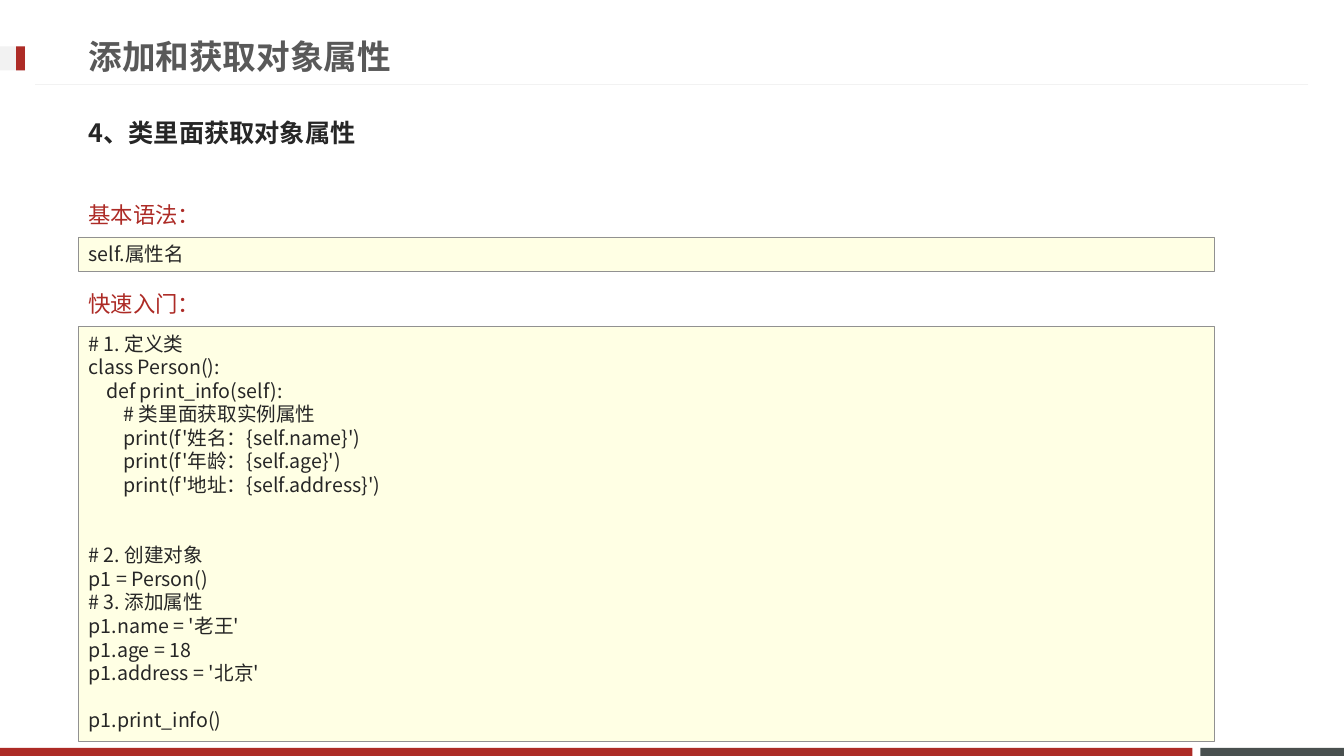
from pptx import Presentation, util as u
from pptx.dml.color import RGBColor
from pptx.enum import shapes, text
from lxml import etree

RED, GREY, INK = "AD2B26", "F2F2F2", "262626"
LEFT = 56.2
CODE_WIDTH = 811.4
CODE_LINE = 16.8
INDENT = 12.5


def color(value):
    return RGBColor.from_string(value)


class SlideKit:
    """Holds the text styles and the current slide."""
    styles = {
        "title": dict(size=u.Pt(24), name="Calibri", bold=True),
        "heading": dict(size=u.Pt(18), name="Noto Sans CJK JP", bold=True),
        "label": dict(size=u.Pt(16), name="Calibri"),
        "code": dict(size=u.Pt(14), name="Noto Sans CJK JP"),
    }
    inks = {"title": "595959", "heading": INK, "label": RED, "code": INK}

    def __init__(self, slide):
        self.shapes = slide.shapes

    def rect(self, x, y, w, h, fill, line=None):
        box = self.shapes.add_shape(shapes.MSO_SHAPE.RECTANGLE,
                                    u.Pt(x), u.Pt(y), u.Pt(w), u.Pt(h))
        box.shadow.inherit = False
        box.fill.solid()
        box.fill.fore_color.rgb = color(fill)
        if line:
            box.line.color.rgb = color(line)
            box.line.width = u.Pt(0.25)
        else:
            box.line.fill.background()
        return box

    def rule(self, x1, x2, y, ink):
        line = self.shapes.add_connector(shapes.MSO_CONNECTOR.STRAIGHT,
                                         u.Pt(x1), u.Pt(y), u.Pt(x2), u.Pt(y))
        line.line.color.rgb = color(ink)
        line.line.width = u.Pt(0.75)
        etree.SubElement(
            line._element.spPr,
            "{http://schemas.openxmlformats.org/drawingml/2006/main}effectLst")

    def set_lines(self, box, style, lines, pitch=None,
                  anchor=text.MSO_ANCHOR.MIDDLE):
        """Each line is (text, indent level, space before)."""
        frame = box.text_frame
        frame.word_wrap = True
        frame.vertical_anchor = anchor
        for number, (words, level, gap) in enumerate(lines):
            para = frame.add_paragraph() if number else frame.paragraphs[0]
            para.alignment = text.PP_ALIGN.LEFT
            para.space_before = u.Pt(gap)
            if pitch:
                para.line_spacing = u.Pt(pitch)
            if level:
                para._p.get_or_add_pPr().set("marL", str(u.Pt(level * INDENT)))
            run = para.add_run()
            run.text = words
            for key, value in self.styles[style].items():
                setattr(run.font, key, value)
            run.font.color.rgb = color(self.inks[style])

    def label(self, x, y, w, h, style, lines, **layout):
        box = self.shapes.add_textbox(u.Pt(x), u.Pt(y), u.Pt(w), u.Pt(h))
        self.set_lines(box, style, lines, **layout)

    def code(self, y, h, lines):
        box = self.rect(LEFT, y, CODE_WIDTH, h, "FFFFE4", "919191")
        self.set_lines(box, "code", lines, pitch=CODE_LINE,
                       anchor=text.MSO_ANCHOR.TOP)


def main():
    prs = Presentation()
    prs.slide_width, prs.slide_height = u.Pt(960), u.Pt(540)
    kit = SlideKit(prs.slides.add_slide(prs.slide_layouts[6]))

    # Footer bars, header rule and marker
    kit.rect(857.5, 534.2, 102.5, 5.8, "49504F")
    kit.rect(0, 534.2, 851.8, 5.8, RED)
    kit.rule(934.6, 25.2, 60.4, GREY)
    kit.rect(0, 33.1, 18, 17.3, GREY)
    kit.rect(11.5, 33.1, 6.3, 17.3, RED)

    # Headings and section labels
    kit.label(LEFT, 129.6, 846.7, 362.9, "label",
              [("基本语法：", 0, 0), ("快速入门：", 0, 33)],
              pitch=30, anchor=text.MSO_ANCHOR.TOP)
    kit.label(LEFT, 19.4, 690.5, 41, "title", [("添加和获取对象属性", 0, 0)])
    kit.label(LEFT, 74.2, 846.7, 41, "heading", [("4、类里面获取对象属性", 0, 0)])

    # Syntax and example
    kit.code(169.2, 24.5, [("self.属性名", 0, 0)])
    kit.code(233.3, 295.9, [
        ("# 1. 定义类", 0, 0),
        ("class Person():", 0, 0),
        ("def print_info(self):", 1, 0),
        ("# 类里面获取实例属性", 2, 0),
        ("print(f'姓名：{self.name}')", 2, 0),
        ("print(f'年龄：{self.age}')", 2, 0),
        ("print(f'地址：{self.address}')", 2, 0),
        ("# 2. 创建对象", 0, 2 * CODE_LINE),
        ("p1 = Person()", 0, 0),
        ("# 3. 添加属性", 0, 0),
        ("p1.name = '老王'", 0, 0),
        ("p1.age = 18", 0, 0),
        ("p1.address = '北京'", 0, 0),
        ("p1.print_info()", 0, CODE_LINE),
    ])

    prs.save("out.pptx")


if __name__ == "__main__":
    main()
